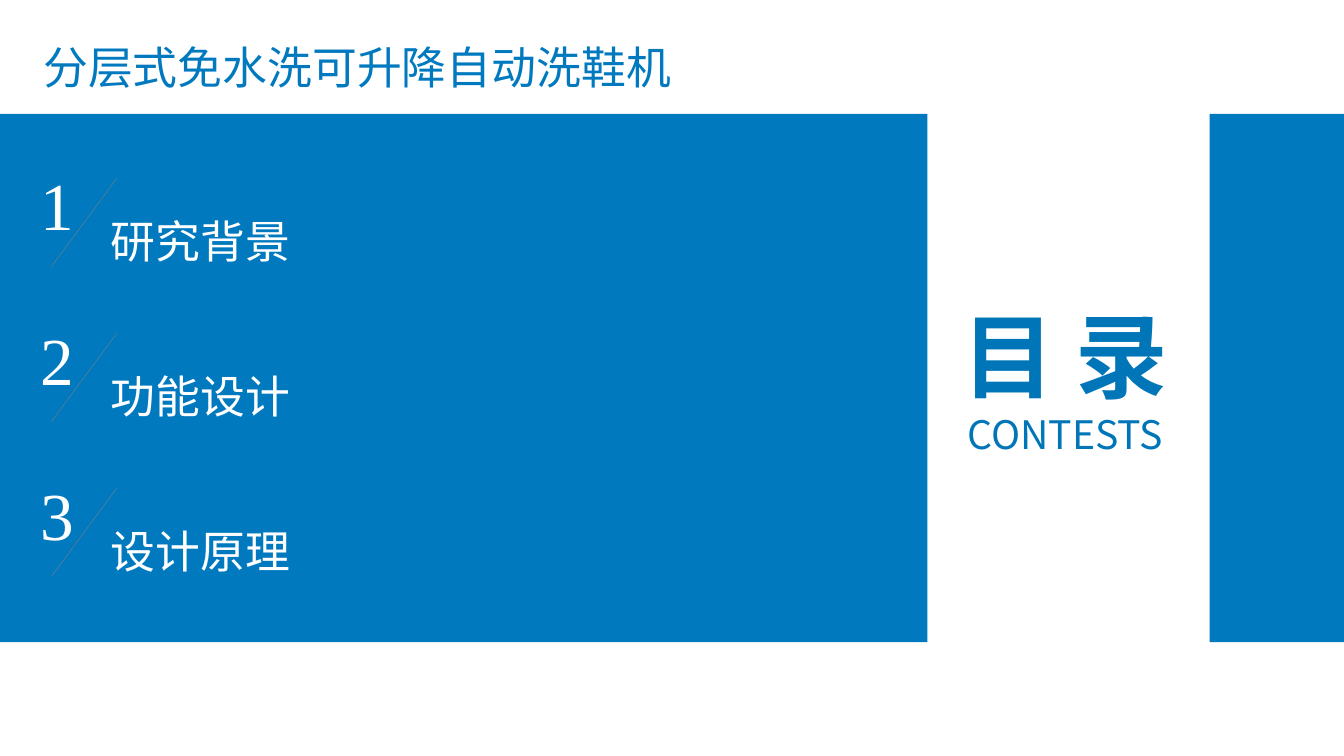
"""Build the contents slide of the shoe-washing machine presentation."""
from dataclasses import dataclass

from lxml import etree
from pptx import Presentation
from pptx.dml.color import RGBColor
from pptx.enum.shapes import MSO_CONNECTOR, MSO_SHAPE
from pptx.enum.text import MSO_ANCHOR, MSO_AUTO_SIZE, PP_ALIGN
from pptx.oxml.ns import qn
from pptx.util import Inches, Pt

RECT = MSO_SHAPE.RECTANGLE
STRAIGHT = MSO_CONNECTOR.STRAIGHT
TOP, MIDDLE = MSO_ANCHOR.TOP, MSO_ANCHOR.MIDDLE
GROW, FIXED = MSO_AUTO_SIZE.SHAPE_TO_FIT_TEXT, MSO_AUTO_SIZE.NONE
LEFT, CENTER = PP_ALIGN.LEFT, PP_ALIGN.CENTER

WIDTH, HEIGHT = Inches(13.33), Inches(7.5)
COLS, ROWS = 40, 22.5
SANS, SERIF = "Noto Sans CJK SC", "Times New Roman"
BLUE, DEEP_BLUE, WHITE, GRAY = "0079BF", "0076B8", "FFFFFF", "808080"
FIRST_ROW, ROW_STEP = 4.71, 4.61


@dataclass(frozen=True)
class Box:
    """Rectangle in grid columns and rows."""
    col: float
    row: float
    cols: float
    rows: float

    def emu(self) -> tuple[int, int, int, int]:
        """Return left, top, width and height in EMU."""
        return x(self.col), y(self.row), x(self.cols), y(self.rows)


@dataclass(frozen=True)
class Line:
    """One paragraph of text and its format."""
    text: str
    size: float
    color: str
    name: str = SANS
    bold: bool = False
    align: PP_ALIGN = LEFT


PANELS = [Box(0, 3.39, 27.6, 15.72), Box(36, 3.39, 4, 15.72)]
TITLE_BOX = Box(0.99, 1.02, 20.16, 1.92)
TITLE = Line("分层式免水洗可升降自动洗鞋机", 32, BLUE)
HEADING_BOX = Box(27.78, 9.12, 7.86, 4.29)
HEADING = [
    Line("目 录", 66, DEEP_BLUE, bold=True, align=CENTER),
    Line("CONTESTS", 28, DEEP_BLUE, align=CENTER),
]
TOPICS = ["研究背景", "功能设计", "设计原理"]


def x(cols: float) -> int:
    """Convert columns to EMU."""
    return round(WIDTH * cols / COLS)


def y(rows: float) -> int:
    """Convert rows to EMU."""
    return round(HEIGHT * rows / ROWS)


def rgb(color: str) -> RGBColor:
    """Convert a hex string to a colour."""
    return RGBColor.from_string(color)


def write(sp, lines: list[Line], anchor=TOP, auto_size=GROW, word_wrap=True) -> None:
    """Fill a shape with formatted paragraphs."""
    tf = sp.text_frame
    frame = {"vertical_anchor": anchor, "auto_size": auto_size, "word_wrap": word_wrap}
    for key, value in frame.items():
        setattr(tf, key, value)
    for i, line in enumerate(lines):
        p = tf.add_paragraph() if i else tf.paragraphs[0]
        p.alignment = line.align
        r = p.add_run()
        r.text = line.text
        font = {"size": Pt(line.size), "bold": line.bold, "name": line.name}
        for key, value in font.items():
            setattr(r.font, key, value)
        r.font.color.rgb = rgb(line.color)
        ea = etree.SubElement(r._r.get_or_add_rPr(), qn("a:ea"))
        ea.set("typeface", line.name)


def add_text(s, box: Box, lines: list[Line], **frame) -> None:
    """Add a text box."""
    write(s.shapes.add_textbox(*box.emu()), lines, **frame)


def add_panel(s, box: Box) -> None:
    """Add a plain blue panel."""
    sp = s.shapes.add_shape(RECT, *box.emu())
    sp.shadow.inherit = False
    sp.fill.solid()
    sp.fill.fore_color.rgb = rgb(BLUE)
    sp.line.fill.background()


def add_slash(s, row: float) -> None:
    """Add the thin slanted line beside a topic number."""
    cxn = s.shapes.add_connector(STRAIGHT, x(3.48), y(row + 0.59), x(1.53), y(row + 3.23))
    cxn.line.color.rgb = rgb(GRAY)
    cxn.line.width = Pt(0.25)
    etree.SubElement(cxn._element.spPr, qn("a:effectLst"))


def add_topic(s, index: int, topic: str) -> None:
    """Add a numbered topic."""
    row = FIRST_ROW + index * ROW_STEP
    number = Line(str(index + 1), 48, WHITE, SERIF)
    add_text(s, Box(0.9, row, 1.62, 2.73), [number], word_wrap=False)
    add_slash(s, row)
    add_text(s, Box(3, row + 1.5, 19.56, 1.92), [Line(topic, 32, WHITE)])


def main() -> None:
    """Build and save the slide."""
    prs = Presentation()
    prs.slide_width, prs.slide_height = WIDTH, HEIGHT
    s = prs.slides.add_slide(prs.slide_layouts[5])
    title = s.shapes.title
    title.left, title.top, title.width, title.height = TITLE_BOX.emu()
    write(title, [TITLE])
    for panel in PANELS:
        add_panel(s, panel)
    add_text(s, HEADING_BOX, HEADING, anchor=MIDDLE, auto_size=FIXED)
    for index, topic in enumerate(TOPICS):
        add_topic(s, index, topic)
    prs.save("out.pptx")


if __name__ == "__main__":
    main()
